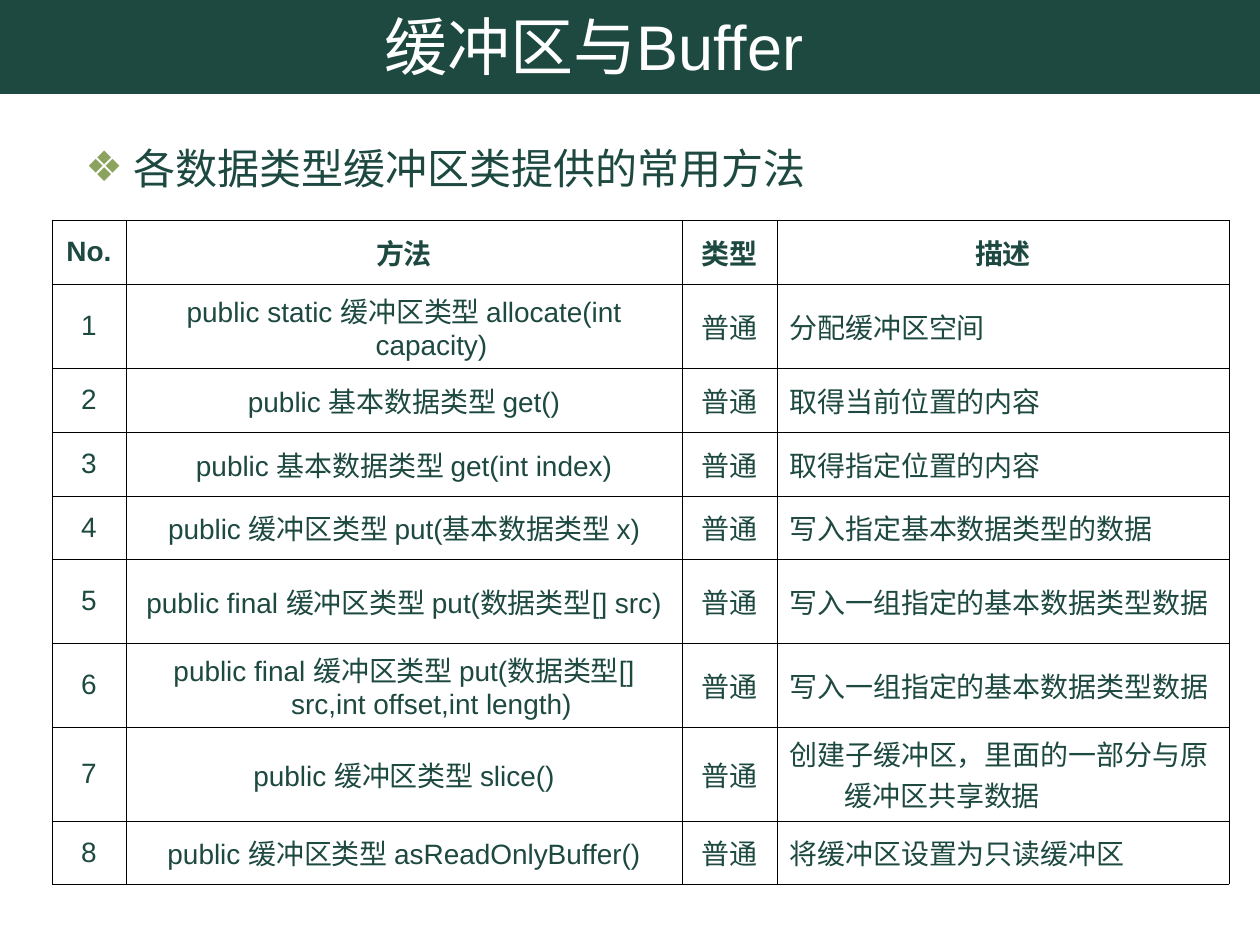
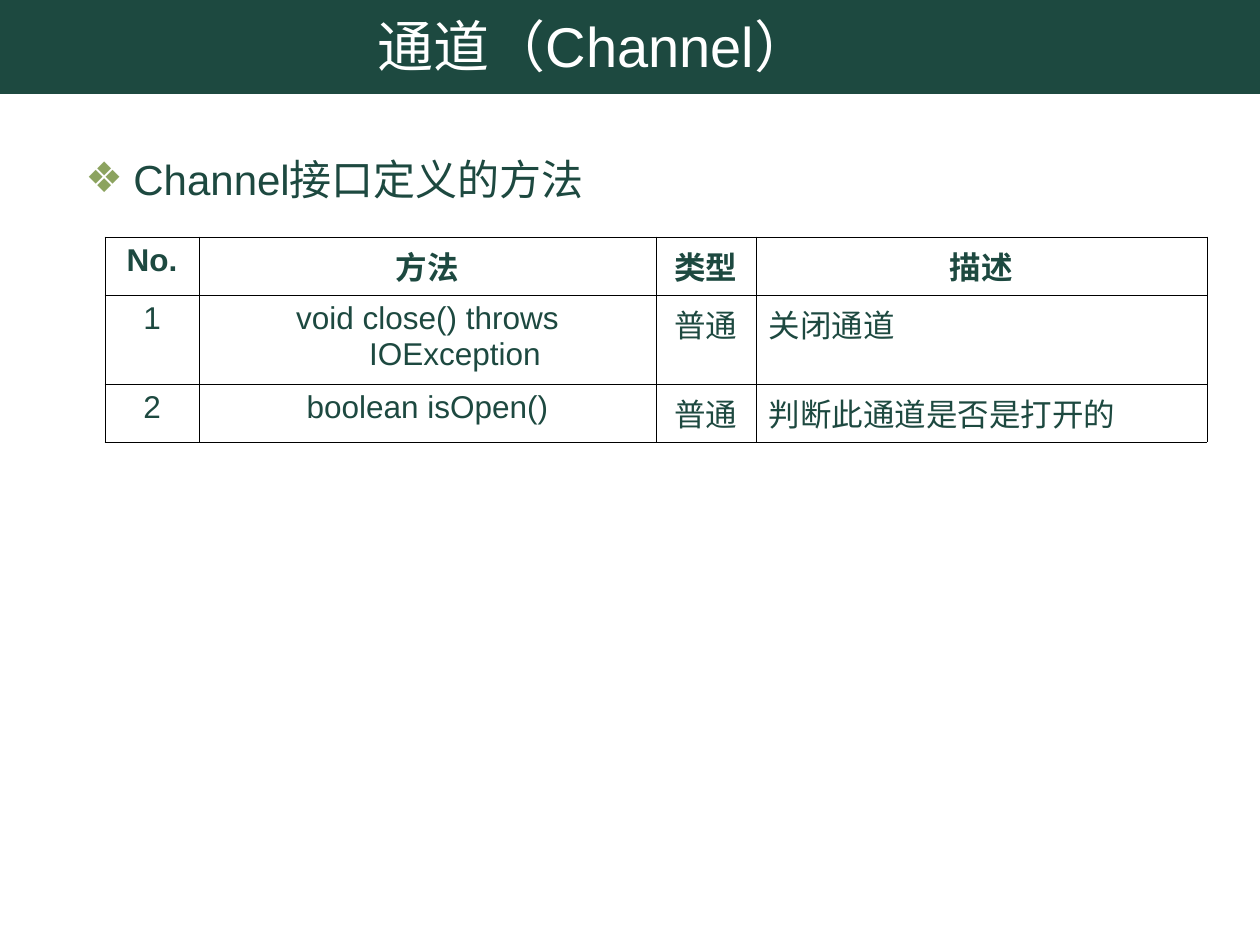
import pptx
import pptx.dml.color
import pptx.enum.shapes
import pptx.enum.text
import pptx.oxml
import pptx.oxml.ns
import pptx.util
import lxml.etree

PIXEL = 914400 / 126
FONT = "Arial"
GREEN, LEAF, WHITE, BLACK = "1D4940", "8CA35F", "FFFFFF", "000000"
TITLE_BOX = (85, 6, 1018, 78)
BAND_BOX = (-1, 0, 1261, 94)
HEADER = ("No.", "方法", "类型", "描述")
KIND = "普通"
CENTER = pptx.enum.text.PP_ALIGN.CENTER
LEFT = pptx.enum.text.PP_ALIGN.LEFT
MIDDLE = pptx.enum.text.MSO_ANCHOR.MIDDLE
TOP = pptx.enum.text.MSO_ANCHOR.TOP


def px(length):
    return pptx.util.Emu(round(length * PIXEL))


def color(hex_string):
    return pptx.dml.color.RGBColor.from_string(hex_string)


def add_element(parent, tag, **attributes):
    element = lxml.etree.SubElement(parent, pptx.oxml.ns.qn(tag))
    for name, value in attributes.items():
        element.set(name, str(value))
    return element


def write(frame, text, size, fill=GREEN, bold=False, align=LEFT, before=0, hanging=0, bullet=None):
    frame.word_wrap = True
    paragraph = frame.paragraphs[0]
    paragraph.alignment = align
    paragraph.space_before = pptx.util.Pt(before)
    run = paragraph.add_run()
    run.text = text
    run.font.name = FONT
    run.font.size = pptx.util.Pt(size)
    run.font.bold = bold
    run.font.color.rgb = color(fill)
    properties = paragraph._p.get_or_add_pPr()
    if hanging:
        properties.set("marL", str(px(hanging)))
        properties.set("indent", str(-px(hanging)))
    if bullet:
        add_element(add_element(properties, "a:buClr"), "a:srgbClr", val=LEAF)
        add_element(properties, "a:buFont", typeface=FONT)
        add_element(properties, "a:buChar", char=bullet)


def add_title(slide, text, size):
    title = slide.shapes.title
    title.left, title.top, title.width, title.height = map(px, TITLE_BOX)
    title.text_frame.auto_size = pptx.enum.text.MSO_AUTO_SIZE.NONE
    title.text_frame.vertical_anchor = MIDDLE
    write(title.text_frame, text, size, fill=WHITE, align=CENTER)

    band = slide.shapes.add_shape(pptx.enum.shapes.MSO_SHAPE.RECTANGLE, *map(px, BAND_BOX))
    band.shadow.inherit = False
    band.fill.solid()
    band.fill.fore_color.rgb = color(GREEN)
    band.line.fill.background()
    title.element.addprevious(band.element)


def add_heading(slide, box, text):
    heading = slide.shapes.add_textbox(*map(px, box))
    write(heading.text_frame, text, 24, before=6, hanging=48, bullet="❖")


def add_borders(cell):
    properties = cell._tc.get_or_add_tcPr()
    for index, side in enumerate("LRTB"):
        line = add_element(properties, f"a:ln{side}", w=pptx.util.Pt(0.45))
        add_element(add_element(line, "a:solidFill"), "a:srgbClr", val=BLACK)
        properties.insert(index, line)


def add_method_table(slide, origin, widths, heights, methods, size, before, anchor):
    rows = [HEADER] + [
        (str(number), method, KIND, description)
        for number, (method, description) in enumerate(methods, 1)
    ]
    box = (*origin, sum(widths), sum(heights))
    table = slide.shapes.add_table(len(rows), len(widths), *map(px, box)).table
    table.first_row = table.horz_banding = False
    for column, width in zip(table.columns, widths):
        column.width = px(width)
    for row_index, (row, height) in enumerate(zip(rows, heights)):
        table.rows[row_index].height = px(height)
        for column_index, text in enumerate(row):
            cell = table.cell(row_index, column_index)
            cell.fill.background()
            cell.vertical_anchor = anchor
            is_header = row_index == 0
            is_description = column_index == len(row) - 1 and not is_header
            write(cell.text_frame, text, size, bold=is_header, before=before, hanging=55,
                  align=LEFT if is_description else CENTER)
            add_borders(cell)


def add_slide(presentation, title, title_size, heading, heading_box, **table):
    slide = presentation.slides.add_slide(presentation.slide_layouts[5])
    add_title(slide, title, title_size)
    add_heading(slide, heading_box, heading)
    add_method_table(slide, **table)


BUFFER_METHODS = [
    ("public static 缓冲区类型 allocate(int capacity)", "分配缓冲区空间"),
    ("public 基本数据类型 get()", "取得当前位置的内容"),
    ("public 基本数据类型 get(int index)", "取得指定位置的内容"),
    ("public 缓冲区类型 put(基本数据类型 x)", "写入指定基本数据类型的数据"),
    ("public final 缓冲区类型 put(数据类型[] src)", "写入一组指定的基本数据类型数据"),
    ("public final 缓冲区类型 put(数据类型[] src,int offset,int length)",
     "写入一组指定的基本数据类型数据"),
    ("public 缓冲区类型 slice()", "创建子缓冲区，里面的一部分与原缓冲区共享数据"),
    ("public 缓冲区类型 asReadOnlyBuffer()", "将缓冲区设置为只读缓冲区"),
]
CHANNEL_METHODS = [
    ("void close() throws IOException", "关闭通道"),
    ("boolean isOpen()", "判断此通道是否是打开的"),
]

presentation = pptx.Presentation()
presentation.slide_width, presentation.slide_height = px(1260), px(945)
add_slide(
    presentation, "缓冲区与Buffer", 36, "各数据类型缓冲区类提供的常用方法", (73, 136, 1134, 63),
    origin=(52, 220), widths=(74, 556, 95, 452),
    heights=(64, 84, 64, 64, 63, 84, 84, 94, 63),
    methods=BUFFER_METHODS, size=16, before=4, anchor=MIDDLE,
)
add_slide(
    presentation, "通道（Channel）", 32, "Channel接口定义的方法", (73, 147, 557, 723),
    origin=(105, 237), widths=(94, 457, 100, 451), heights=(58, 89, 58),
    methods=CHANNEL_METHODS, size=18, before=4.5, anchor=TOP,
)
presentation.save("out.pptx")
